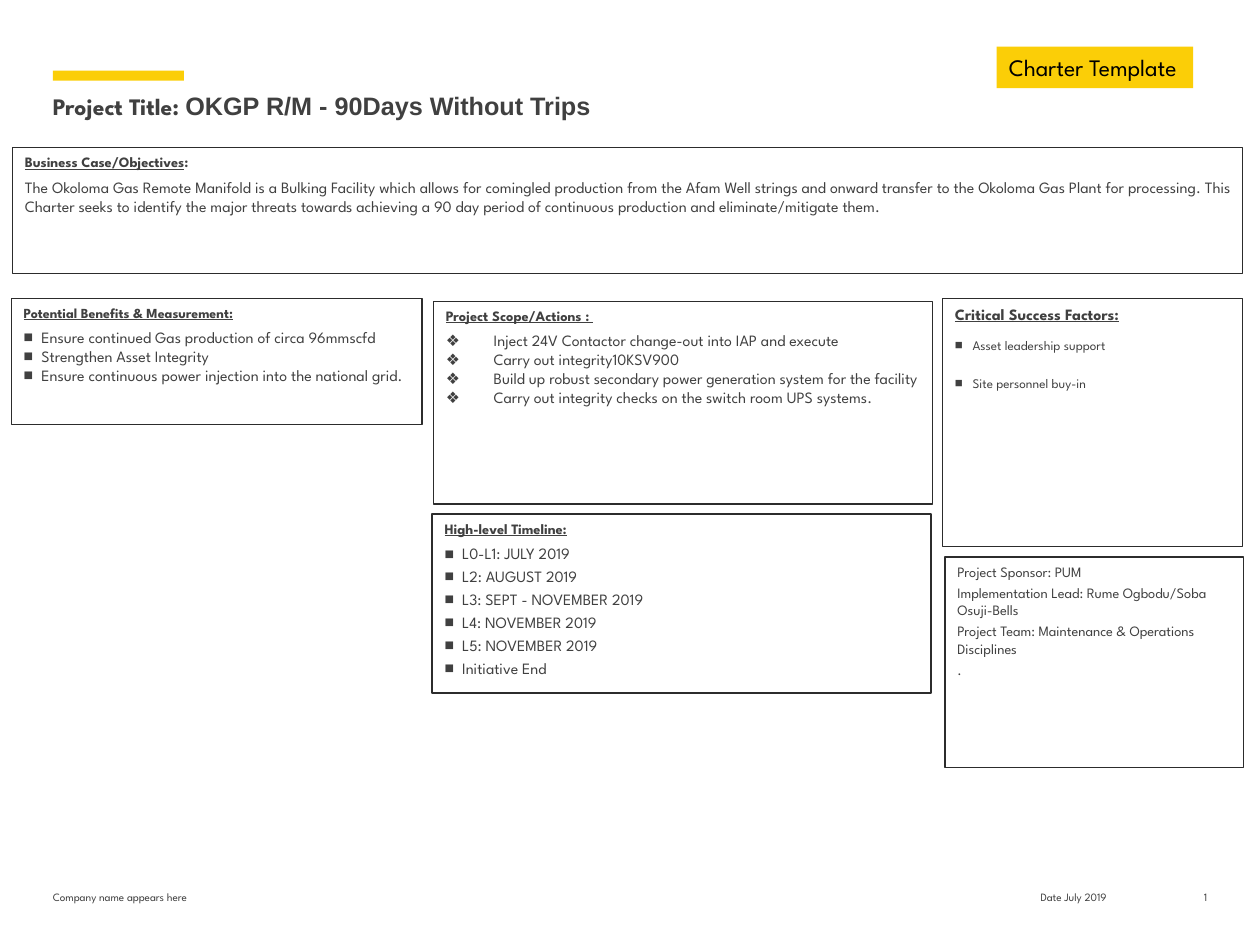
from lxml.etree import SubElement
from pptx import Presentation
from pptx.dml.color import RGBColor
from pptx.enum.shapes import MSO_SHAPE as SHAPE
from pptx.enum.text import MSO_ANCHOR as ANCHOR, PP_ALIGN as ALIGN
from pptx.oxml.ns import qn
from pptx.util import Inches, Pt

COLORS = {"yellow": "FBCE07", "white": "FFFFFF", "line": "2C2C2C",
          "text": "404040", "black": "000000"}
COLS, ROWS = 100, 75
SQUARE, DIAMOND = ("■", 0.14), ("❖", 0.38)


class CharterSlide:
    font = "League Spartan"
    body = 9
    heading_gap = 3.8

    def __init__(self, prs):
        self.cell_w = prs.slide_width / COLS
        self.cell_h = prs.slide_height / ROWS
        self.shapes = prs.slides.add_slide(prs.slide_layouts[6]).shapes

    def place(self, col, row, cols, rows):
        """Turn grid columns and rows into slide lengths."""
        return (int(col * self.cell_w), int(row * self.cell_h),
                int(cols * self.cell_w), int(rows * self.cell_h))

    def rect(self, at, fill=None, line=None):
        sp = self.shapes.add_shape(SHAPE.RECTANGLE, *self.place(*at))
        sp.shadow.inherit = False
        if fill:
            sp.fill.solid()
            sp.fill.fore_color.rgb = RGBColor.from_string(COLORS[fill])
        else:
            sp.fill.background()
        if line:
            sp.line.color.rgb = RGBColor.from_string(COLORS[line])
            sp.line.width = Pt(0.75)
        else:
            sp.line.fill.background()
        tf = sp.text_frame
        tf.word_wrap, tf.vertical_anchor = True, ANCHOR.TOP
        return tf

    def run(self, p, text, color="text", **style):
        r = p.add_run()
        r.text = text
        for name, value in {"name": self.font, **style}.items():
            setattr(r.font, name, value)
        r.font.color.rgb = RGBColor.from_string(COLORS[color])

    def paragraph(self, tf, text, size, bullet=None, color="text",
                  **layout):
        p = tf.paragraphs[0] if not tf.text else tf.add_paragraph()
        if bullet:
            char, indent = bullet
            pPr = p._p.get_or_add_pPr()
            pPr.set("marL", str(Inches(indent)))
            pPr.set("indent", str(-Inches(indent)))
            SubElement(pPr, qn("a:buFont"), typeface="Arial")
            SubElement(pPr, qn("a:buChar"), char=char)
        for name, value in {"alignment": ALIGN.LEFT, **layout}.items():
            setattr(p, name, value)
        self.run(p, text, color, size=Pt(size))

    def label(self, at, *runs, align=ALIGN.LEFT):
        tf = self.shapes.add_textbox(*self.place(*at)).text_frame
        tf.word_wrap = True
        for side in ("left", "top", "right", "bottom"):
            setattr(tf, f"margin_{side}", 0)
        p = tf.paragraphs[0]
        p.alignment = align
        for text, style in runs:
            self.run(p, text, **style)

    def panel(self, at, heading=None, size=8.2, tail="", fill="white"):
        tf = self.rect(at, fill, "line")
        if heading:
            p = tf.paragraphs[0]
            p.alignment, p.space_after = ALIGN.JUSTIFY, Pt(self.heading_gap)
            self.run(p, heading, size=Pt(size), bold=True, underline=True)
            if tail:
                self.run(p, tail, size=Pt(size), bold=True)
        return tf

    def items(self, tf, texts, size=None, bullet=None, gap=0):
        """Add paragraphs with an equal gap between them."""
        for i, text in enumerate(texts):
            self.paragraph(tf, text, size or self.body, bullet,
                           space_before=Pt(gap if i else 0))


def main():
    prs = Presentation()
    prs.slide_width, prs.slide_height = Inches(10), Inches(7.5)
    s = CharterSlide(prs)

    s.rect((4.2, 5.6, 10.4, 0.8), "yellow")
    s.label((4.2, 7.2, 91.6, 4.2),
            ("Project Title: ", {"size": Pt(13.5), "bold": True}),
            ("OKGP R/M - 90Days Without Trips",
             {"size": Pt(14.4), "bold": True, "name": "Arial"}))
    tag = s.rect((79.1, 3.7, 15.6, 3.3), "yellow")
    tag.word_wrap = False
    s.paragraph(tag, "Charter Template", 13.5, color="black")

    case = s.panel((1, 11.7, 97.6, 10), "Business Case/Objectives", tail=":")
    s.paragraph(
        case,
        "The Okoloma Gas Remote Manifold is a Bulking Facility which allows "
        "for comingled production from the Afam Well strings and onward "
        "transfer to the Okoloma Gas Plant for processing. This Charter "
        "seeks to identify the major threats towards achieving a 90 day "
        "period of continuous production and eliminate/mitigate them.",
        s.body, alignment=ALIGN.JUSTIFY)

    benefits = s.panel((0.9, 23.7, 32.6, 10),
                       "Potential Benefits & Measurement:", 7.9)
    s.items(benefits, [
        "Ensure continued Gas production of circa 96mmscfd",
        "Strengthen Asset Integrity",
        "Ensure continuous power injection into the national grid.",
    ], bullet=SQUARE)

    scope = s.panel((34.4, 23.9, 39.6, 16.1), "Project Scope/Actions : ",
                    fill=None)
    s.items(scope, [
        "Inject 24V Contactor change-out into IAP and execute",
        "Carry out integrity10KSV900",
        "Build up robust secondary power generation system for the facility",
        "Carry out integrity checks on the switch room UPS systems.",
    ], bullet=DIAMOND)

    timeline = s.panel((34.3, 40.8, 39.6, 14.2), "High-level Timeline:")
    s.items(timeline, [
        "L0-L1: JULY 2019", "L2: AUGUST 2019", "L3: SEPT - NOVEMBER 2019",
        "L4: NOVEMBER 2019", "L5: NOVEMBER 2019", "Initiative End",
    ], bullet=SQUARE, gap=2.2)

    factors = s.panel((74.8, 23.7, 23.8, 19.7),
                      "Critical Success Factors:", 9)
    for text, gap in (("Asset leadership support", 3.8),
                      ("Site personnel buy-in", 12.7)):
        s.paragraph(factors, text, 7.5, SQUARE, space_before=Pt(gap))

    team = s.panel((75, 44.2, 23.7, 16.7))
    s.items(team, [
        "Project Sponsor: PUM",
        "Implementation Lead: Rume Ogbodu/Soba Osuji-Bells",
        "Project Team: Maintenance & Operations Disciplines",
        ".",
    ], size=8.2, gap=2.2)

    for col, cols, text, align in (
            (4.2, 27.6, "Company name appears here", ALIGN.LEFT),
            (79.3, 11.8, "Date July 2019", ALIGN.CENTER),
            (92.9, 2.9, "1", ALIGN.RIGHT)):
        s.label((col, 70.7, cols, 2.6), (text, {"size": Pt(6.4)}),
                align=align)

    prs.save("out.pptx")


if __name__ == "__main__":
    main()
